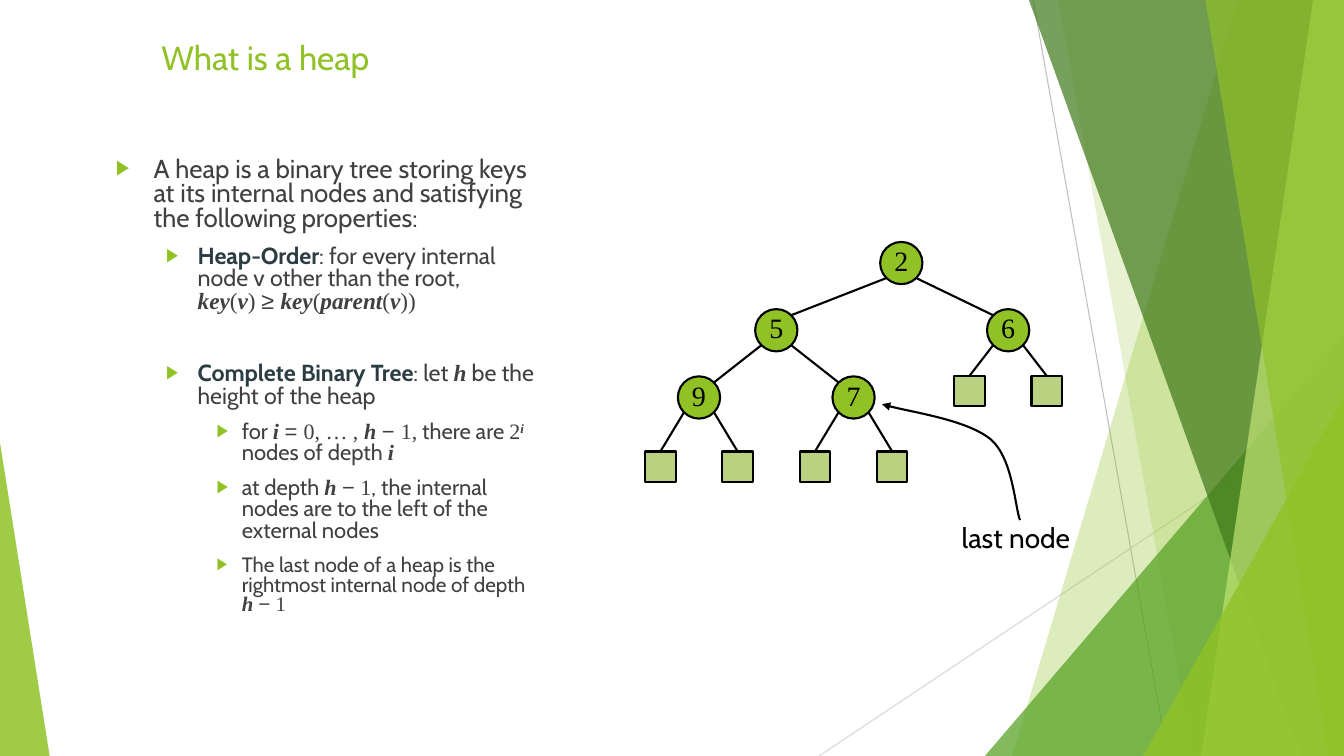
from lxml import etree
from pptx import Presentation
from pptx.dml import color
from pptx.enum import shapes, text
from pptx.oxml import ns
from pptx.util import Pt

GREEN, INK, TERM, BLACK = "90C226", "404040", "2C3C43", "000000"
SERIF, SANS = "Times New Roman", "Cabin"
RUN_STYLES = {
    "plain": (SANS, False, False, INK),
    "term": (SANS, True, False, TERM),
    "colon": (SANS, False, False, TERM),
    "var": (SERIF, True, True, INK),
    "power": (SERIF, True, True, INK),
    "math": (SERIF, False, False, INK),
    "sign": ("Arial", False, False, INK),
}
PROPERTIES = [
    (0, 18.5, 0, [("A heap is a binary tree storing keys at its internal nodes and "
                   "satisfying the following properties:", "plain")]),
    (1, 16.6, 10, [("Heap-Order", "term"), (":", "colon"),
                   (" for every internal node v other than the root,", "plain"), None,
                   ("key", "var"), ("(", "math"), ("v", "var"), (") ", "math"),
                   ("≥ ", "sign"), ("key", "var"), ("(", "math"), ("parent", "var"),
                   ("(", "math"), ("v", "var"), ("))", "math")]),
    (1, 16.6, 36, [("Complete Binary Tree", "term"), (":", "colon"), (" let ", "plain"),
                   ("h", "var"), (" be the height of the heap", "plain")]),
    (2, 15.7, 10, [("for ", "plain"), ("i ", "var"), ("= ", "sign"), ("0, … , ", "math"),
                   ("h ", "var"), ("− ", "sign"), ("1,", "math"), (" there are ", "plain"),
                   ("2", "math"), ("i", "power"), (" nodes of depth ", "plain"), ("i", "var")]),
    (2, 15.7, 10, [("at depth ", "plain"), ("h ", "var"), ("−", "sign"), (" 1", "math"),
                   (", the internal nodes are to the left of the external nodes", "plain")]),
    (2, 14.8, 10, [("The last node of a heap is the rightmost internal node of depth ", "plain"),
                   ("h ", "var"), ("−", "sign"), (" 1", "math")]),
]
INDENTS = [(27, -27), (58.5, -22.5), (90, -18)]


def rgb(value):
    return color.RGBColor.from_string(value)


def add_xml(parent, tag, **attributes):
    return etree.SubElement(parent, ns.qn(tag), attributes)


def paint(shape, fill, line=None, alpha=100):
    shape.shadow.inherit = False
    shape.fill.solid()
    shape.fill.fore_color.rgb = rgb(fill)
    if alpha < 100:
        tint = shape._element.spPr.find(".//" + ns.qn("a:srgbClr"))
        add_xml(tint, "a:alpha", val=str(alpha * 1000))
    if line:
        shape.line.color.rgb = rgb(line)
        shape.line.width = Pt(1.5)
    else:
        shape.line.fill.background()


def add_line(slide, start, end, line=BLACK, width=1.5):
    connector = slide.shapes.add_connector(
        shapes.MSO_CONNECTOR.STRAIGHT, *[Pt(v) for v in (*start, *end)])
    connector.line.color.rgb = rgb(line)
    connector.line.width = Pt(width)
    add_xml(connector._element.spPr, "a:effectLst")


def add_outline(slide, points, close):
    start, *others = [(Pt(x), Pt(y)) for x, y in points]
    builder = slide.shapes.build_freeform(*start)
    builder.add_line_segments(others, close=close)
    return builder.convert_to_shape()


def add_facets(slide, left, top, width, height):
    right, bottom = left + width, top + height
    add_line(slide, (right - 222, top), (right - 126, bottom), "BFBFBF", 0.75)
    add_line(slide, (right, top + 290), (right - 375, bottom), "D9D9D9", 0.75)

    def strip(top_width, bottom_width, fill, alpha):
        corners = [(right - top_width, top), (right, top),
                   (right, bottom), (right - bottom_width, bottom)]
        paint(add_outline(slide, corners, True), fill, alpha=alpha)

    def wedge(x, wide, high, apex, fill, alpha):
        shape = slide.shapes.add_shape(shapes.MSO_SHAPE.ISOSCELES_TRIANGLE, Pt(x),
                                       Pt(bottom - high), Pt(wide), Pt(high))
        shape.adjustments[0] = apex
        paint(shape, fill, alpha=alpha)

    strip(76, 237, GREEN, 30)
    strip(204, 108, GREEN, 20)
    wedge(right - 256.5, 256.5, 300, 1, "54A021", 72)
    strip(225, 30.5, "3F7819", 70)
    strip(22, 102, "C0E474", 70)
    strip(99, 11, GREEN, 65)
    wedge(right - 143.5, 143.5, 257, 1, GREEN, 80)
    wedge(left, 35.5, 224, 0, GREEN, 85)


def add_title(slide, left, top, width, height):
    title = slide.shapes.title
    title.left, title.top, title.width, title.height = map(Pt, (left, top, width, height))
    title.text_frame.text = "What is a heap"
    title.text_frame.vertical_anchor = text.MSO_ANCHOR.TOP
    heading = title.text_frame.paragraphs[0]
    heading.alignment = text.PP_ALIGN.LEFT
    heading.font.size, heading.font.name = Pt(24), SANS
    heading.font.color.rgb = rgb(GREEN)


def add_properties(slide, left, top, width, height):
    frame = slide.shapes.add_textbox(*map(Pt, (left, top, width, height))).text_frame
    frame.word_wrap = True
    for number, (level, size, before, runs) in enumerate(PROPERTIES):
        paragraph = frame.add_paragraph() if number else frame.paragraphs[0]
        paragraph.level = level
        paragraph.line_spacing, paragraph.space_before = 0.8, Pt(before)
        margin, indent = INDENTS[level]
        settings = paragraph._p.get_or_add_pPr()
        settings.set("marL", str(Pt(margin)))
        settings.set("indent", str(Pt(indent)))
        add_xml(add_xml(settings, "a:buClr"), "a:srgbClr", val=GREEN)
        add_xml(settings, "a:buSzPct", val="80000")
        add_xml(settings, "a:buFont", typeface="Arial")
        add_xml(settings, "a:buChar", char="▶")
        paragraph.font.size = Pt(size)
        for piece in runs:
            if piece is None:
                paragraph.add_line_break()
                continue
            run = paragraph.add_run()
            run.text, style = piece
            run.font.name, run.font.bold, run.font.italic, ink = RUN_STYLES[style]
            run.font.color.rgb = rgb(ink)
            if style == "power":
                run._r.get_or_add_rPr().set("baseline", "30000")


def write_centred(frame, words, font):
    frame.word_wrap = False
    line = frame.paragraphs[0]
    line.text, line.alignment = words, text.PP_ALIGN.CENTER
    line.font.size, line.font.name = Pt(20), font
    line.font.color.rgb = rgb(BLACK)


def add_pointer(slide, points):
    pointer = add_outline(slide, points, False)
    pointer.shadow.inherit = False
    pointer.fill.background()
    pointer.line.color.rgb = rgb(BLACK)
    pointer.line.width = Pt(1.5)
    add_xml(pointer.line._get_or_add_ln(), "a:tailEnd", type="triangle")
    segments = list(pointer._element.iter(ns.qn("a:lnTo")))
    for first in range(0, len(segments), 3):
        curve = etree.Element(ns.qn("a:cubicBezTo"))
        segments[first].addprevious(curve)
        for segment in segments[first:first + 3]:
            curve.append(segment[0])
            segment.getparent().remove(segment)


def add_heap(slide, left, top):
    node_size, leaf_size, reach, step = 30.2, 21.8, 10.8, 55.2
    leaves = [(left + leaf_size / 2 + step * i, top + (160.6 if i < 4 else 106.6))
              for i in range(6)]

    def above(first, second, depth):
        return (first[0] + second[0]) / 2, top + 15.1 + 48 * depth

    nine, seven = above(*leaves[:2], 2), above(*leaves[2:4], 2)
    five, six = above(nine, seven, 1), above(*leaves[4:], 1)
    two = (left + 183, top + 15.1)
    family = [("2", two, [five, six]), ("5", five, [nine, seven]), ("6", six, leaves[4:]),
              ("9", nine, leaves[:2]), ("7", seven, leaves[2:4])]

    def centred(kind, centre, size, fill):
        x, y = centre
        shape = slide.shapes.add_shape(kind, Pt(x - size / 2), Pt(y - size / 2),
                                       Pt(size), Pt(size))
        paint(shape, fill, BLACK)
        return shape

    for key, centre, children in family:
        frame = centred(shapes.MSO_SHAPE.OVAL, centre, node_size, GREEN).text_frame
        frame.margin_left = frame.margin_right = frame.margin_top = 0
        frame.margin_bottom = Pt(3.6)
        frame.vertical_anchor = text.MSO_ANCHOR.MIDDLE
        write_centred(frame, key, SERIF)
        for side, child in zip((-1, 1), children):
            end = ((child[0], child[1] - leaf_size / 2) if child in leaves
                   else (child[0] - side * reach, child[1] - reach))
            add_line(slide, (centre[0] + side * reach, centre[1] + reach), end)
    for leaf in leaves:
        centred(shapes.MSO_SHAPE.RECTANGLE, leaf, leaf_size, "B9D181")

    bends = [(267.8, 198.7), (264.2, 189.4), (262.8, 154.8), (247, 141.1),
             (230.4, 127.4), (185.8, 121), (169.2, 115.9)]
    add_pointer(slide, [(left + x, top + y) for x, y in bends])
    label = slide.shapes.add_textbox(Pt(left + 217.4), Pt(top + 195.1), Pt(95), Pt(31))
    write_centred(label.text_frame, "last node", SANS)


def main():
    deck = Presentation()
    deck.slide_width, deck.slide_height = Pt(960), Pt(540)
    slide = deck.slides.add_slide(deck.slide_layouts[5])
    add_facets(slide, 0, 0, 960, 540)
    add_title(slide, 108, 23, 612, 84)
    add_properties(slide, 75.6, 109.4, 318.2, 378)
    add_heap(slide, 460.8, 172.8)
    deck.save("out.pptx")


if __name__ == "__main__":
    main()
